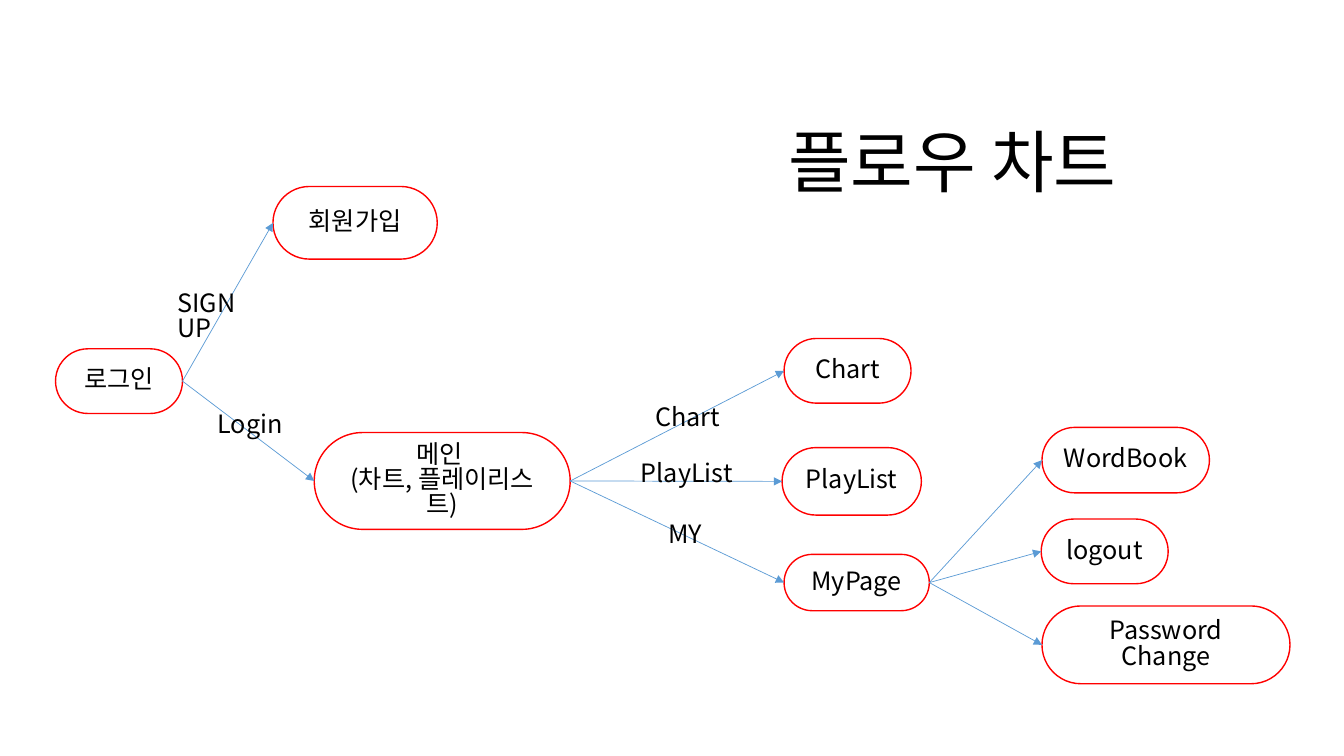
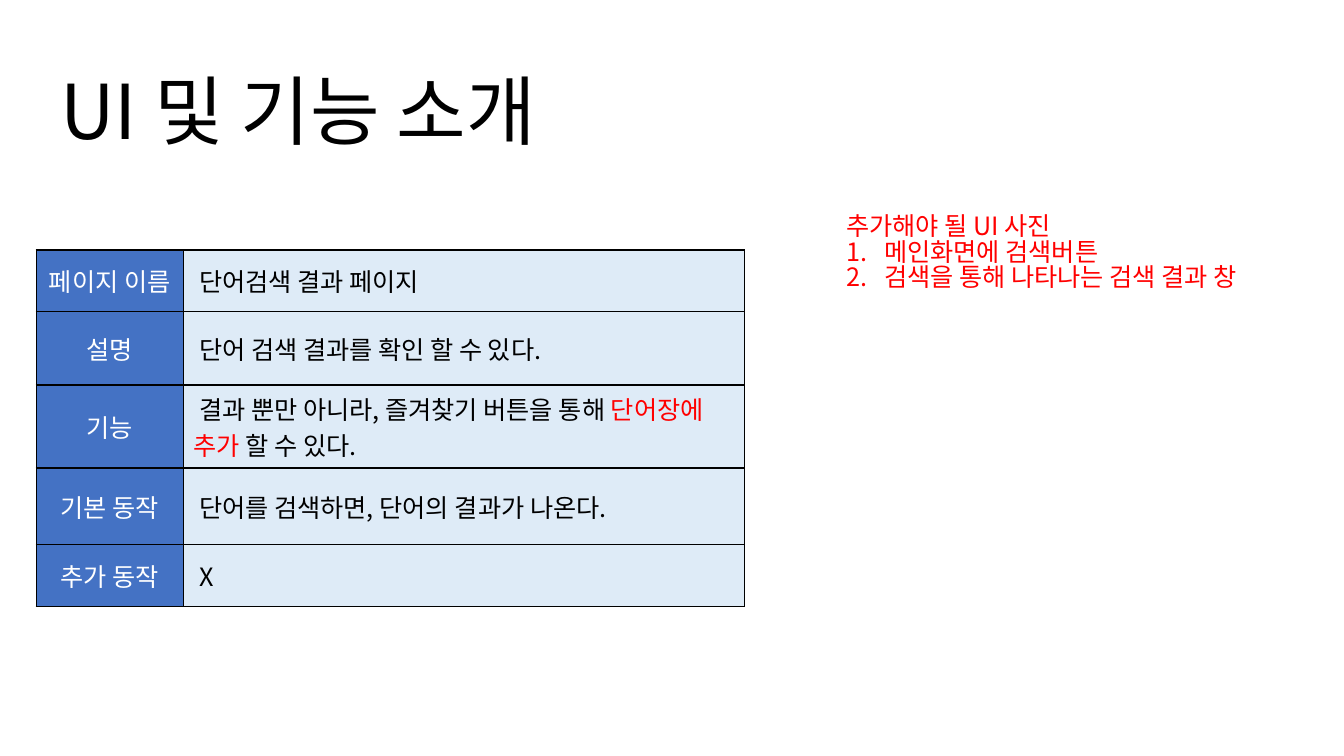
from lxml import etree
from pptx import Presentation
from pptx import util as u
from pptx.dml.color import RGBColor
from pptx.enum import shapes, text
from pptx.oxml import ns

FONT = "Noto Sans CJK KR"
COLOURS = {
    "ink": "000000",
    "paper": "FFFFFF",
    "accent": "FF0000",
    "arrow": "5B9BD5",
    "header": "4472C4",
    "body": "DEEBF7",
}
SHADE = {name: RGBColor.from_string(value) for name, value in COLOURS.items()}
LEFT, CENTRE = text.PP_ALIGN.LEFT, text.PP_ALIGN.CENTER
MIDDLE = text.MSO_ANCHOR.MIDDLE
TIGHT = 0.84


def write(para, spans, size=18, spacing=TIGHT, align=LEFT):
    para.alignment = align
    para.line_spacing = spacing
    for words, colour in spans:
        span = para.add_run()
        span.text = words
        span.font.size = u.Pt(size)
        span.font.name = FONT
        span.font.color.rgb = SHADE[colour]
        etree.SubElement(span.font._element, ns.qn("a:ea"), typeface=FONT)


def add_page(deck, heading, place, size):
    page = deck.slides.add_slide(deck.slide_layouts[5])
    title = page.shapes.title
    title.left, title.top, title.width, title.height = map(u.Cm, place)
    title.text_frame.auto_size = text.MSO_AUTO_SIZE.NONE
    title.text_frame.vertical_anchor = MIDDLE
    write(title.text_frame.paragraphs[0], [(heading, "ink")], size, 0.9)
    return page


deck = Presentation()
deck.slide_width, deck.slide_height = u.Cm(33.87), u.Cm(19.05)

page = add_page(deck, "플로우 차트", (19.61, 2.34, 9.2, 3.68), 48.6)

nodes = {
    "main": (["메인 ", "(차트, 플레이리스트)"], 7.92, 10.9, 6.45, 2.44),
    "chart": (["Chart"], 19.76, 8.53, 3.2, 1.63),
    "playlist": (["PlayList"], 19.71, 11.28, 3.51, 1.7),
    "login": (["로그인"], 1.4, 8.79, 3.2, 1.63),
    "signup": (["회원가입"], 6.88, 4.7, 4.14, 1.83),
    "mypage": (["MyPage"], 19.76, 13.97, 3.66, 1.42),
    "logout": (["logout"], 26.24, 13.08, 3.2, 1.63),
    "password": (["Password Change"], 26.26, 15.27, 6.25, 1.96),
    "wordbook": (["WordBook"], 26.26, 10.77, 4.22, 1.65),
}
boxes = {}
for name, (lines, *place) in nodes.items():
    box = page.shapes.add_shape(shapes.MSO_SHAPE.ROUNDED_RECTANGLE, *map(u.Cm, place))
    box.adjustments[0] = 0.5
    box.shadow.inherit = False
    box.fill.background()
    box.line.color.rgb = SHADE["accent"]
    box.line.width = u.Pt(1)
    frame = box.text_frame
    frame.word_wrap = True
    frame.vertical_anchor = MIDDLE
    for index, line in enumerate(lines):
        para = frame.add_paragraph() if index else frame.paragraphs[0]
        write(para, [(line, "ink")], align=CENTRE)
    boxes[name] = box

flows = {
    "login": ["signup", "main"],
    "main": ["chart", "playlist", "mypage"],
    "mypage": ["wordbook", "logout", "password"],
}
for source, targets in flows.items():
    for target in targets:
        arrow = page.shapes.add_connector(shapes.MSO_CONNECTOR.STRAIGHT, 0, 0, 0, 0)
        arrow.begin_connect(boxes[source], 3)
        arrow.end_connect(boxes[target], 1)
        arrow.line.color.rgb = SHADE["arrow"]
        arrow.line.width = u.Pt(0.5)
        etree.SubElement(arrow.line._get_or_add_ln(), ns.qn("a:tailEnd"), type="triangle")
        etree.SubElement(arrow._element.spPr, ns.qn("a:effectLst"))

labels = [
    ("SIGN UP", 4.22, 7.24, 2.9),
    ("Login", 5.23, 10.29, 2.44),
    ("Chart", 16.26, 10.11, 2.51),
    ("PlayList", 15.9, 11.53, 2.87),
    ("MY", 16.59, 13.06, 1.42),
]
for label, left, top, width in labels:
    box = page.shapes.add_textbox(u.Cm(left), u.Cm(top), u.Cm(width), u.Cm(1.02))
    box.text_frame.word_wrap = True
    write(box.text_frame.paragraphs[0], [(label, "ink")])

page = add_page(deck, "UI 및 기능 소개", (1.27, 1.07, 29.21, 3.68), 54)

rows = [
    (1.55, "페이지 이름", [(" 단어검색 결과 페이지", "ink")]),
    (1.85, "설명", [(" 단어 검색 결과를 확인 할 수 있다.", "ink")]),
    (1.93, "기능", [
        (" 결과 뿐만 아니라, 즐겨찾기 버튼을 통해 ", "ink"),
        ("단어장에 추가 ", "accent"),
        ("할 수 있다.", "ink"),
    ]),
    (1.93, "기본 동작", [(" 단어를 검색하면, 단어의 결과가 나온다.", "ink")]),
    (1.57, "추가 동작", [(" X", "ink")]),
]
table = page.shapes.add_table(
    len(rows), 2, u.Cm(0.91), u.Cm(6.3), u.Cm(17.86), u.Cm(8.83)
).table
table.columns[0].width, table.columns[1].width = u.Cm(3.71), u.Cm(14.15)
for row, (height, heading, spans) in enumerate(rows):
    table.rows[row].height = u.Cm(height)
    contents = [([(heading, "paper")], "header", CENTRE), (spans, "body", LEFT)]
    for column, (content, fill, align) in enumerate(contents):
        cell = table.cell(row, column)
        cell.vertical_anchor = MIDDLE
        cell.fill.solid()
        cell.fill.fore_color.rgb = SHADE[fill]
        write(cell.text_frame.paragraphs[0], content, spacing=1.0, align=align)
        properties = cell._tc.get_or_add_tcPr()
        for index, side in enumerate(("lnL", "lnR", "lnT", "lnB")):
            border = etree.Element(ns.qn("a:" + side), w=str(u.Pt(1)))
            paint = etree.SubElement(border, ns.qn("a:solidFill"))
            etree.SubElement(paint, ns.qn("a:srgbClr"), val=COLOURS["ink"])
            properties.insert(index, border)

box = page.shapes.add_textbox(u.Cm(21.08), u.Cm(5.31), u.Cm(10.44), u.Cm(2.57))
box.fill.solid()
box.fill.fore_color.rgb = SHADE["paper"]
frame = box.text_frame
frame.word_wrap = True
write(frame.paragraphs[0], [("추가해야 될 UI 사진", "accent")])
for item in ("메인화면에 검색버튼", "검색을 통해 나타나는 검색 결과 창"):
    para = frame.add_paragraph()
    write(para, [(item, "accent")])
    properties = para._p.get_or_add_pPr()
    properties.set("marL", str(u.Cm(0.95)))
    properties.set("indent", str(-u.Cm(0.95)))
    etree.SubElement(properties, ns.qn("a:buAutoNum"), type="arabicPeriod")

deck.save("out.pptx")
